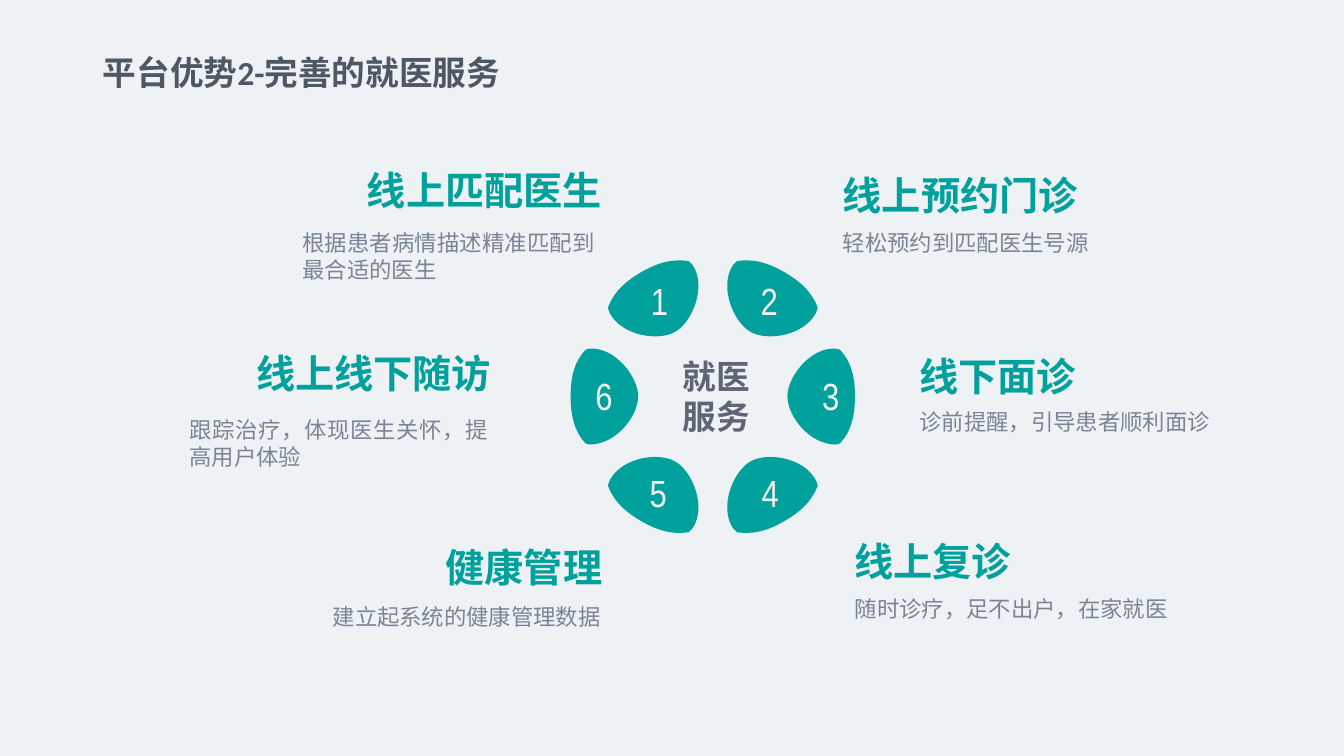
import pptx
import pptx.dml.color
import pptx.enum.text
import pptx.oxml.ns
import pptx.util
from lxml import etree

Inches = pptx.util.Inches
ALIGN = pptx.enum.text.PP_ALIGN
qn = pptx.oxml.ns.qn
CJK_FONT = "Noto Sans CJK SC"
COLORS = {
    "background": "EEF2F5",
    "teal": "00A09D",
    "digit": "F2F2F2",
    "title": "4E5865",
    "center": "5E6576",
    "detail": "798494",
}

CORNER_PETAL = [
    (1.17, 0.02),
    (1.03, 0), (0.89, 0.02), (0.7, 0.13),
    (0.51, 0.24), (0.42, 0.35), (0.37, 0.48),
    (0.37, 0.49), (0.38, 0.52), (0.39, 0.54),
    (0.51, 0.76), (0.87, 0.82), (1.04, 0.72),
    (1.21, 0.62), (1.35, 0.27), (1.21, 0.06),
    (1.2, 0.05), (1.17, 0.02), (1.17, 0.02),
]
SIDE_PETAL = [
    (0.14, 0.91),
    (0.05, 1.01), (0, 1.14), (0, 1.36),
    (0, 1.58), (0.05, 1.72), (0.14, 1.82),
    (0.14, 1.83), (0.18, 1.84), (0.19, 1.84),
    (0.45, 1.84), (0.67, 1.56), (0.67, 1.36),
    (0.67, 1.17), (0.44, 0.87), (0.19, 0.89),
    (0.17, 0.89), (0.14, 0.9), (0.14, 0.91),
]
PETALS = [
    ("1", CORNER_PETAL, False, False, 0.78, 0.18),
    ("2", CORNER_PETAL, True, False, 1.87, 0.18),
    ("3", SIDE_PETAL, True, False, 2.48, 1.13),
    ("4", CORNER_PETAL, True, True, 1.88, 2.09),
    ("5", CORNER_PETAL, False, True, 0.77, 2.09),
    ("6", SIDE_PETAL, False, False, 0.23, 1.13),
]
SERVICES = [
    ("线上匹配医生", (3.64, 1.65, 2.36, 0.47),
     "根据患者病情描述精准匹配到最合适的医生", (3, 2.27, 2.9, 0.54)),
    ("线上预约门诊", (8.36, 1.7, 2.74, 0.47),
     "轻松预约到匹配医生号源", (8.36, 2.27, 2.74, 0.27)),
    ("线下面诊", (9.12, 3.5, 1.77, 0.47),
     "诊前提醒，引导患者顺利面诊", (9.12, 4.05, 2.96, 0.27)),
    ("线上复诊", (8.47, 5.33, 2.09, 0.47),
     "随时诊疗，足不出户，在家就医", (8.48, 5.9, 3.18, 0.27)),
    ("健康管理", (4.42, 5.39, 1.65, 0.47),
     "建立起系统的健康管理数据", (3.3, 5.98, 2.77, 0.27)),
    ("线上线下随访", (2.54, 3.47, 2.36, 0.47),
     "跟踪治疗，体现医生关怀，提高用户体验", (1.88, 4.13, 2.96, 0.54)),
]


def color(name):
    """Return the named colour."""
    return pptx.dml.color.RGBColor.from_string(COLORS[name])


def add_run(paragraph, text, size, color_name, bold=False, font=CJK_FONT):
    """Add one formatted run with its Latin and East Asian fonts."""
    run = paragraph.add_run()
    run.text = text
    run.font.size = pptx.util.Pt(size)
    run.font.bold = bold
    run.font.color.rgb = color(color_name)
    run.font.name = font
    east_asian = etree.SubElement(run.font._element, qn("a:ea"))
    east_asian.set("typeface", CJK_FONT)


def add_text(shapes, box, lines, size, color_name, align=ALIGN.LEFT,
             bold=False, font=CJK_FONT, wrap=True):
    """Add a text box without margins, one paragraph per line."""
    frame = shapes.add_textbox(*map(Inches, box)).text_frame
    frame.margin_left = frame.margin_right = 0
    frame.margin_top = frame.margin_bottom = 0
    frame.word_wrap = wrap
    for index, line in enumerate(lines):
        paragraph = frame.add_paragraph() if index else frame.paragraphs[0]
        paragraph.alignment = align
        add_run(paragraph, line, size, color_name, bold, font)


def curve_outline(shape):
    """Turn each three line segments of a freeform into one cubic curve."""
    segments = list(shape._element.iter(qn("a:lnTo")))
    for first in range(0, len(segments), 3):
        curve = etree.Element(qn("a:cubicBezTo"))
        segments[first].addprevious(curve)
        for segment in segments[first:first + 3]:
            curve.append(segment[0])
            segment.getparent().remove(segment)


def add_petal(shapes, box, petal):
    """Add a numbered petal, mirrored within the ring box as needed."""
    left, top, width, height = box
    digit, nodes, flip_x, flip_y, digit_x, digit_y = petal
    points = [(Inches(left + (width - x if flip_x else x)),
               Inches(top + (height - y if flip_y else y)))
              for x, y in nodes]
    group = shapes.add_group_shape()
    builder = group.shapes.build_freeform(*points[0])
    builder.add_line_segments(points[1:], close=True)
    shape = builder.convert_to_shape()
    curve_outline(shape)
    shape.shadow.inherit = False
    shape.fill.solid()
    shape.fill.fore_color.rgb = color("teal")
    shape.line.fill.background()
    add_text(group.shapes, (left + digit_x, top + digit_y, 0.2, 0.45), [digit],
             27, "digit", ALIGN.CENTER, font="Arial Narrow", wrap=False)


def add_ring(slide, box):
    """Add the petal ring with its central label."""
    left, top, width, height = box
    add_text(slide.shapes, (left + 0.9, top + 0.96, 1.09, 0.81), ["就医", "服务"],
             24, "center", ALIGN.CENTER, bold=True)
    for petal in PETALS:
        add_petal(slide.shapes, box, petal)


def add_service(slide, heading, heading_box, detail, detail_box):
    """Add a service heading and its description."""
    add_text(slide.shapes, heading_box, [heading], 28, "teal", bold=True)
    add_text(slide.shapes, detail_box, [detail], 16, "detail", ALIGN.JUSTIFY)


def add_title(slide, box):
    """Fill the title placeholder."""
    title = slide.shapes.title
    title.left, title.top, title.width, title.height = map(Inches, box)
    frame = title.text_frame
    frame.word_wrap = True
    frame.auto_size = pptx.enum.text.MSO_AUTO_SIZE.NONE
    frame.vertical_anchor = pptx.enum.text.MSO_ANCHOR.TOP
    paragraph = frame.paragraphs[0]
    paragraph.alignment = ALIGN.LEFT
    add_run(paragraph, "平台优势2-完善的就医服务", 24, "title", True, "Calibri")


def main():
    """Build the medical services slide."""
    presentation = pptx.Presentation()
    presentation.slide_width = Inches(13.33)
    presentation.slide_height = Inches(7.5)
    slide = presentation.slides.add_slide(presentation.slide_layouts[5])
    slide.background.fill.solid()
    slide.background.fill.fore_color.rgb = color("background")
    add_title(slide, (0.92, 0.46, 4.18, 0.5))
    add_ring(slide, (5.66, 2.57, 2.82, 2.73))
    for service in SERVICES:
        add_service(slide, *service)
    presentation.save("out.pptx")


if __name__ == "__main__":
    main()
